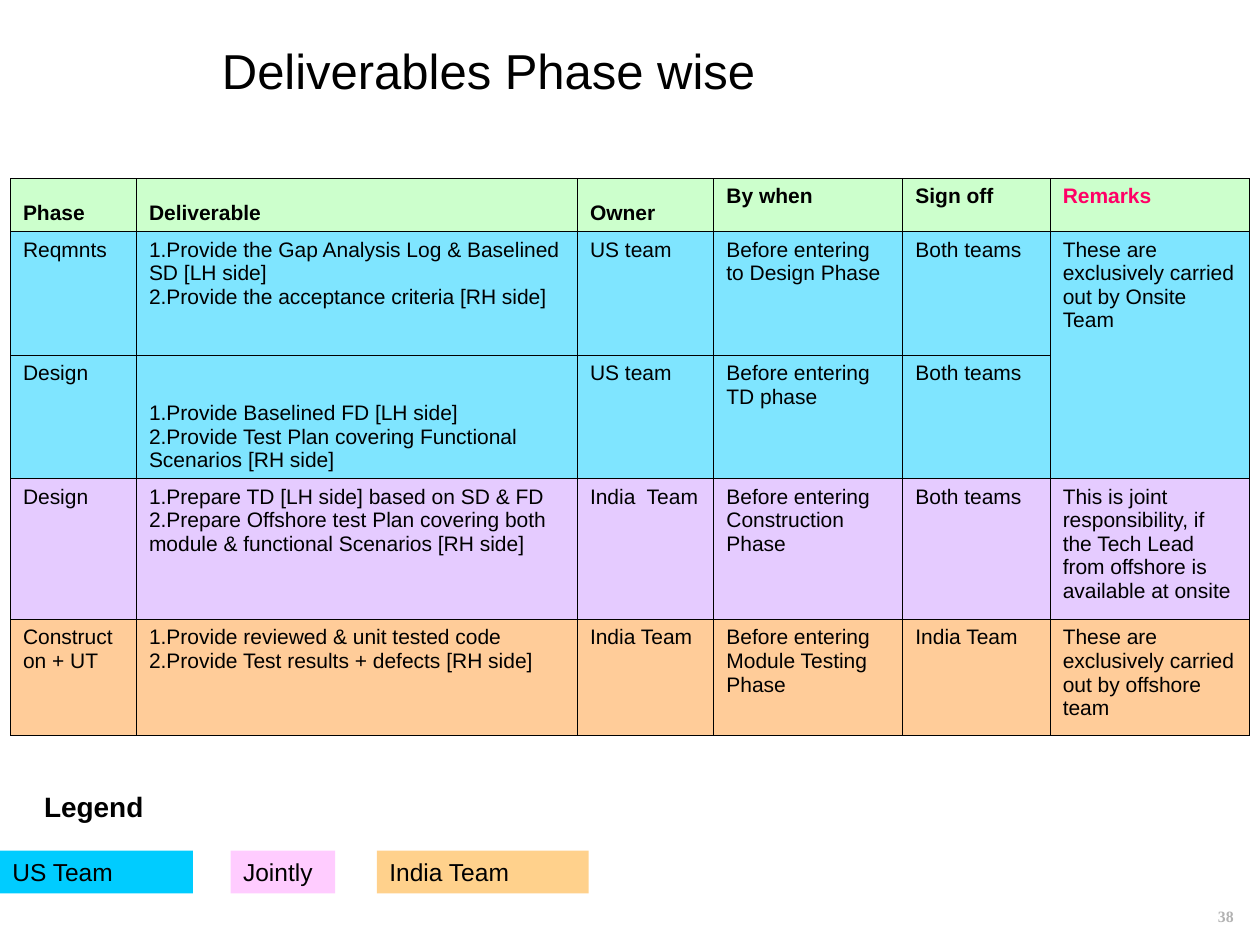
from lxml import etree
from pptx import Presentation
from pptx.dml.color import RGBColor
from pptx.enum.shapes import MSO_SHAPE
from pptx.enum.text import MSO_ANCHOR, MSO_AUTO_SIZE, PP_ALIGN
from pptx.oxml import parse_xml
from pptx.oxml.ns import qn
from pptx.util import Cm, Pt

BLACK = RGBColor(0x00, 0x00, 0x00)
GREEN = RGBColor(0xCC, 0xFF, 0xCC)
BLUE = RGBColor(0x00, 0xCC, 0xFF)
PURPLE = RGBColor(0xCC, 0x99, 0xFF)
PEACH = RGBColor(0xFF, 0xCC, 0x99)
ORANGE = RGBColor(0xFF, 0x99, 0x00)
PINK = RGBColor(0xFF, 0xCC, 0xFF)
MAGENTA = RGBColor(0xFF, 0x00, 0x66)
GREY = RGBColor(0xB2, 0xB2, 0xB2)

TOP, MIDDLE, BOTTOM = MSO_ANCHOR.TOP, MSO_ANCHOR.MIDDLE, MSO_ANCHOR.BOTTOM
LEFT, RIGHT = PP_ALIGN.LEFT, PP_ALIGN.RIGHT
RECTANGLE = MSO_SHAPE.RECTANGLE
NO_AUTO_SIZE = MSO_AUTO_SIZE.NONE

DRAWING_NS = "http://schemas.openxmlformats.org/drawingml/2006/main"
BORDER = (
    f'<a:{{side}} xmlns:a="{DRAWING_NS}" w="5715"><a:solidFill>'
    f'<a:srgbClr val="{BLACK}"/></a:solidFill></a:{{side}}>'
)


def write_text(text_frame, text, size, color=BLACK, bold=False, name="Arial", alignment=LEFT):
    text_frame.text = text
    text_frame.word_wrap = True
    font_format = {"name": name, "size": Pt(size), "bold": bold}
    for paragraph in text_frame.paragraphs:
        paragraph.alignment = alignment
        for attribute, value in font_format.items():
            setattr(paragraph.runs[0].font, attribute, value)
        paragraph.runs[0].font.color.rgb = color


def fill_solid(filled, properties, color, opacity=100):
    """Fill a shape or cell; properties is the XML element that holds the fill."""
    filled.fill.solid()
    filled.fill.fore_color.rgb = color
    if opacity < 100:
        color_element = properties.find(qn("a:solidFill"))[0]
        etree.SubElement(color_element, qn("a:alpha"), val=str(opacity * 1000))


presentation = Presentation()
presentation.slide_width = Cm(25.4)
presentation.slide_height = Cm(19.05)
slide = presentation.slides.add_slide(presentation.slide_layouts[5])

title = slide.shapes.title
title.left, title.top, title.width, title.height = Cm(4.22), Cm(0.64), Cm(19.08), Cm(1.55)
write_text(title.text_frame, "Deliverables Phase wise", 28)
title.text_frame.vertical_anchor = MIDDLE
title.text_frame.auto_size = NO_AUTO_SIZE

# Deliverables table
column_widths = [2.54, 8.89, 2.75, 3.81, 2.97, 4.01]
row_heights = [1.07, 2.49, 2.49, 2.84, 2.34]
row_fills = [(GREEN, 100), (BLUE, 50), (BLUE, 50), (PURPLE, 50), (PEACH, 100)]
rows = [
    ["Phase", "Deliverable", "Owner", "By when", "Sign off", "Remarks"],
    ["Reqmnts",
     "1.Provide the Gap Analysis Log & Baselined SD [LH side]\n"
     "2.Provide the acceptance criteria [RH side]",
     "US team", "Before entering\nto Design Phase", "Both teams",
     "These are exclusively carried out by Onsite Team"],
    ["Design",
     "1.Provide Baselined FD [LH side]\n"
     "2.Provide Test Plan covering Functional Scenarios [RH side]",
     "US team", "Before entering\nTD phase", "Both teams", None],
    ["Design",
     "1.Prepare TD [LH side] based on SD & FD\n"
     "2.Prepare Offshore test Plan covering both module & functional Scenarios [RH side]",
     "India  Team", "Before entering\nConstruction\nPhase", "Both teams",
     "This is joint responsibility, if the Tech Lead from offshore is available at onsite"],
    ["Construct\non + UT",
     "1.Provide reviewed & unit tested code\n"
     "2.Provide Test results + defects [RH side]",
     "India Team", "Before entering Module Testing Phase", "India Team",
     "These are exclusively carried out by offshore team"],
]
bottom_cells = {(0, 0), (0, 1), (0, 2), (2, 1)}

table = slide.shapes.add_table(
    len(rows), len(column_widths), Cm(0.21), Cm(3.6),
    Cm(sum(column_widths)), Cm(sum(row_heights)),
).table
table.first_row = table.horz_banding = False
for column, width in zip(table.columns, column_widths):
    column.width = Cm(width)
for row, height in zip(table.rows, row_heights):
    row.height = Cm(height)
table.cell(1, 5).merge(table.cell(2, 5))

for row_index, (texts, (color, opacity)) in enumerate(zip(rows, row_fills)):
    for column_index, text in enumerate(texts):
        cell = table.cell(row_index, column_index)
        cell.vertical_anchor = BOTTOM if (row_index, column_index) in bottom_cells else TOP
        cell_properties = cell._tc.get_or_add_tcPr()
        for side in ("lnL", "lnR", "lnT", "lnB"):
            cell_properties.append(parse_xml(BORDER.format(side=side)))
        fill_solid(cell, cell_properties, color, opacity)
        if text:
            text_color = MAGENTA if text == "Remarks" else BLACK
            write_text(cell.text_frame, text, 12, text_color, bold=row_index == 0)

# Legend
legend_title = slide.shapes.add_textbox(Cm(0.64), Cm(15.8), Cm(5.51), Cm(0.94))
write_text(legend_title.text_frame, "Legend", 16, bold=True)

legend_items = [
    ("US Team", 0, 3.89, BLUE, 100),
    ("India Team", 7.6, 4.27, ORANGE, 45),
    ("Jointly", 4.65, 2.11, PINK, 100),
]
for text, left, width, color, opacity in legend_items:
    shape = slide.shapes.add_shape(RECTANGLE, Cm(left), Cm(17.15), Cm(width), Cm(0.86))
    shape.shadow.inherit = False
    fill_solid(shape, shape._element.spPr, color, opacity)
    shape.line.fill.background()
    write_text(shape.text_frame, text, 14)
    shape.text_frame.vertical_anchor = MIDDLE

page_number = slide.shapes.add_textbox(Cm(19.2), Cm(18.16), Cm(5.92), Cm(0.56))
write_text(page_number.text_frame, "38", 9, GREY, True, "Times New Roman", RIGHT)

presentation.save("out.pptx")
